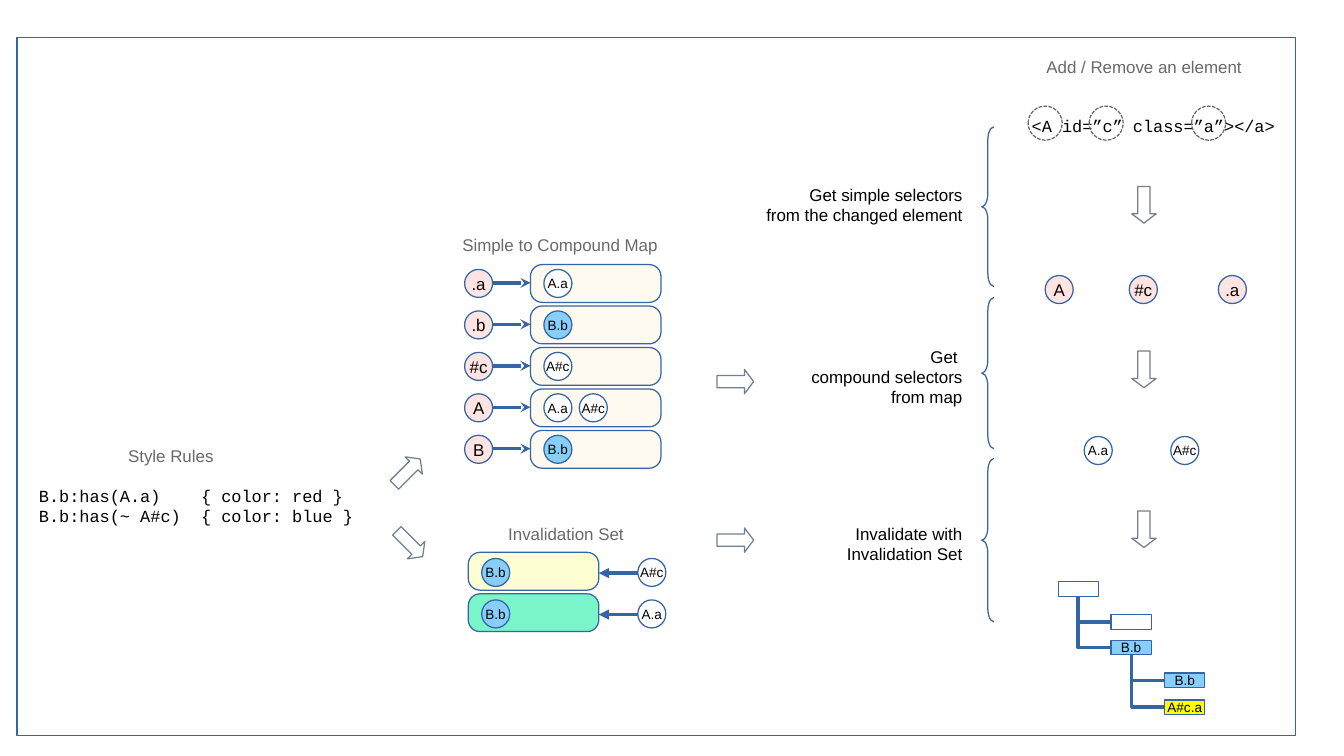
from dataclasses import dataclass

from pptx import Presentation
from pptx.dml.color import RGBColor
from pptx.enum.dml import MSO_LINE
from pptx.enum.shapes import MSO_CONNECTOR as CONN, MSO_SHAPE as SHAPE
from pptx.enum.text import MSO_ANCHOR as ANCHOR, PP_ALIGN as ALIGN
from pptx.oxml.ns import qn
from pptx.util import Inches, Pt
from lxml.etree import SubElement


@dataclass
class Theme:
    sans: str = "Arial"
    mono: str = "Courier New"
    body: int = 10
    small: int = 8
    black: str = "000000"
    gray: str = "696969"
    slate: str = "708090"
    blue: str = "3465A4"
    white: str = "FFFFFF"
    sky: str = "87CEFA"
    rose: str = "FFE4E1"
    cream: str = "FFFAF0"
    lemon: str = "FEFED3"
    mint: str = "7AF5C9"
    yellow: str = "FFFF00"


T = Theme()
DOT = 0.23  # diameter of a selector circle

prs = Presentation()
prs.slide_width, prs.slide_height = Inches(11.02), Inches(6.2)
s = prs.slides.add_slide(prs.slide_layouts[6])


def add_item(kind, x, y, w, h, text="", fill=None, line=T.blue, size=T.body,
             color=T.black, font=T.sans, align=ALIGN.CENTER, anchor=ANCHOR.MIDDLE,
             rot=0, adj=()):
    """Add a preset shape, or a text box when kind is None."""
    box = [Inches(v) for v in (x, y, w, h)]
    if kind is None:
        sp = s.shapes.add_textbox(*box)
    else:
        sp = s.shapes.add_shape(kind, *box)
        sp.shadow.inherit = False
        sp.rotation = rot
        for i, value in enumerate(adj):
            sp.adjustments[i] = value
        if fill:
            sp.fill.solid()
            sp.fill.fore_color.rgb = RGBColor.from_string(fill)
        else:
            sp.fill.background()
        sp.line.color.rgb = RGBColor.from_string(line)
        sp.line.width = Pt(0)
    if text:
        tf = sp.text_frame
        tf.word_wrap = False
        tf.vertical_anchor = anchor
        tf.margin_left = tf.margin_right = tf.margin_top = tf.margin_bottom = 0
        p = tf.paragraphs[0]
        p.alignment = align
        for i, part in enumerate(text.split("\n")):
            if i:
                p.add_line_break()
            r = p.add_run()
            r.text = part
            r.font.name, r.font.size = font, Pt(size)
            r.font.color.rgb = RGBColor.from_string(color)
    return sp


def add_line(kind, x1, y1, x2, y2, head=None):
    """Add a thin connector, with an arrowhead at its end if one is named."""
    cn = s.shapes.add_connector(kind, Inches(x1), Inches(y1), Inches(x2), Inches(y2))
    cn.line.color.rgb = RGBColor.from_string(T.blue)
    cn.line.width = Pt(0)
    props = cn._element.spPr
    if head:
        SubElement(props.find(qn("a:ln")), qn("a:tailEnd"), type=head)
    SubElement(props, qn("a:effectLst"))
    return cn


# Frame
add_item(SHAPE.RECTANGLE, 0.14, 0.31, 10.48, 5.72)

# Section titles
for title, x, y in [("Style Rules", 0.59, 3.58),
                    ("Simple to Compound Map", 3.78, 1.85),
                    ("Invalidation Set", 3.83, 4.22),
                    ("Add / Remove an element", 8.57, 0.39)]:
    add_item(None, x, y, 1.62, 0.31, title, color=T.gray)

# Code
for code, x, y, w, h in [
        ("B.b:has(A.a)    { color: red }\nB.b:has(~ A#c)  { color: blue }", 0.32, 3.98, 2.6, 0.34),
        ("<A id=”c” class=”a”></a>", 8.46, 0.86, 2.04, 0.35)]:
    add_item(None, x, y, w, h, code, font=T.mono, align=ALIGN.LEFT)

# Dashed rings around the simple selectors in the element
for x in (8.43, 8.93, 9.77):
    ring = add_item(SHAPE.OVAL, x, 0.87, 0.28, 0.28, line=T.gray)
    ring.line.dash_style = MSO_LINE.SQUARE_DOT

# Simple to compound map
map_rows = [(".a", ["A.a"]), (".b", ["B.b"]), ("#c", ["A#c"]),
            ("A", ["A.a", "A#c"]), ("B", ["B.b"])]
for i, (simple, compounds) in enumerate(map_rows):
    y = 2.17 + 0.34 * i
    add_item(SHAPE.ROUNDED_RECTANGLE, 4.35, y, 1.07, 0.31, fill=T.cream, adj=[0.31])
    add_item(SHAPE.OVAL, 3.81, y + 0.04, DOT, DOT, simple, T.rose)
    add_line(CONN.STRAIGHT, 4.04, y + 0.15, 4.35, y + 0.15, "stealth")
    for j, name in enumerate(compounds):
        add_item(SHAPE.OVAL, 4.46 + 0.29 * j, y + 0.04, DOT, DOT, name,
                 T.sky if name == "B.b" else T.white, size=T.small)

# Invalidation set
for i, (name, fill) in enumerate([("A#c", T.lemon), ("A.a", T.mint)]):
    y = 4.53 + 0.34 * i
    add_item(SHAPE.ROUNDED_RECTANGLE, 3.84, y, 1.07, 0.31, fill=fill, adj=[0.31])
    add_item(SHAPE.OVAL, 3.95, y + 0.05, DOT, DOT, "B.b", T.sky, size=T.small)
    add_item(SHAPE.OVAL, 5.23, y + 0.05, DOT, DOT, name, T.white, size=T.small)
    add_line(CONN.STRAIGHT, 5.23, y + 0.17, 4.91, y + 0.17, "triangle")

# Block arrows
for x, y, rot in [(3.19, 3.77, 315), (3.21, 4.36, 45), (5.88, 3.03, 0), (5.88, 4.33, 0),
                  (9.23, 1.58, 90), (9.23, 2.93, 90), (9.23, 4.24, 90)]:
    add_item(SHAPE.RIGHT_ARROW, x, y, 0.3, 0.2, fill=T.white, line=T.slate,
             rot=rot, adj=[0.5, 0.376])

# Steps with their braces
for step, text_y, brace_y, brace_h in [
        ("Get simple selectors\nfrom the changed element", 1.51, 1.04, 1.31),
        ("Get \ncompound selectors\nfrom map", 2.84, 2.44, 1.24),
        ("Invalidate with\nInvalidation Set", 4.29, 3.76, 1.34)]:
    add_item(None, 6.24, text_y, 1.65, 0.46, step, align=ALIGN.RIGHT, anchor=ANCHOR.TOP)
    add_item(SHAPE.LEFT_BRACE, 8.05, brace_y, 0.1, brace_h, adj=[1.08, 0.5])

# Selectors found in each step
for name, x in [("A", 8.57), ("#c", 9.26), (".a", 9.99)]:
    add_item(SHAPE.OVAL, x, 2.26, DOT, DOT, name, T.rose)
for name, x in [("A.a", 8.89), ("A#c", 9.6)]:
    add_item(SHAPE.OVAL, x, 3.58, DOT, DOT, name, T.white, size=T.small)

# Element tree
for name, x, y, fill in [("", 8.68, 4.77, T.white), ("", 9.11, 5.04, T.white),
                         ("B.b", 9.11, 5.25, T.sky), ("B.b", 9.55, 5.52, T.sky),
                         ("A#c.a", 9.55, 5.74, T.yellow)]:
    add_item(SHAPE.RECTANGLE, x, y, 0.33, 0.12, name, fill, size=T.small)

# Tree branches: each runs down, then right, as a turned and flipped elbow
for x1, y1, x2, y2 in [(8.84, 4.89, 9.11, 5.1), (8.84, 4.89, 9.11, 5.31),
                       (9.28, 5.37, 9.55, 5.58), (9.28, 5.37, 9.55, 5.8)]:
    cx, cy = (x1 + x2) / 2, (y1 + y2) / 2
    half_w, half_h = (y2 - y1) / 2, (x2 - x1) / 2
    branch = add_line(CONN.ELBOW, cx - half_w, cy - half_h, cx + half_w, cy + half_h)
    props = branch._element.spPr
    props.find(qn("a:prstGeom")).set("prst", "bentConnector2")
    props.find(qn("a:xfrm")).set("rot", "16200000")
    props.find(qn("a:xfrm")).set("flipH", "1")

prs.save("out.pptx")
